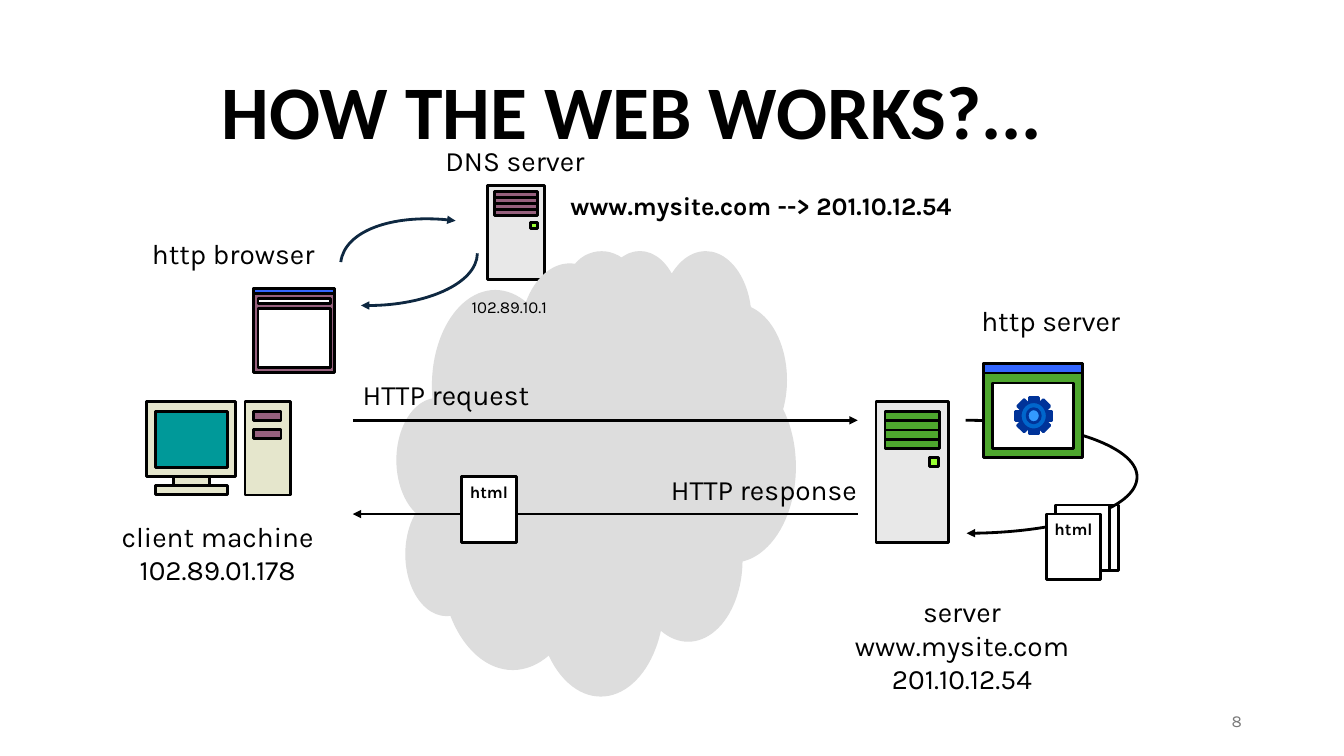
from dataclasses import dataclass
from lxml import etree
from pptx import Presentation
from pptx.dml.color import RGBColor
from pptx.enum.shapes import MSO_CONNECTOR, MSO_SHAPE
from pptx.enum.text import MSO_ANCHOR, MSO_AUTO_SIZE, PP_ALIGN
from pptx.oxml.ns import qn
from pptx.util import Pt

RECT, OVAL, CLOUD = MSO_SHAPE.RECTANGLE, MSO_SHAPE.OVAL, MSO_SHAPE.CLOUD_CALLOUT
STRAIGHT = MSO_CONNECTOR.STRAIGHT
LEFT, CENTER, RIGHT = PP_ALIGN.LEFT, PP_ALIGN.CENTER, PP_ALIGN.RIGHT
TOP, MIDDLE = MSO_ANCHOR.TOP, MSO_ANCHOR.MIDDLE
NO_FIT = MSO_AUTO_SIZE.NONE
COLORS = {
    "black": "000000", "white": "FFFFFF", "navy": "0E2841", "gray": "797979",
    "case": "E8E8E8", "plum": "96607D", "lime": "99FF33", "beige": "E5E6CC",
    "teal": "009999", "green": "4EA72E", "blue": "3366FF", "cloud": "DDDDDD",
    "gear": "003399", "hub": "0066CC", "axle": "3399FF",
}


@dataclass
class Box:
    x: float
    y: float
    w: float
    h: float
    fill: str
    line: str = "black"
    kind: MSO_SHAPE = RECT
    rotation: float = 0
    text: str = ""


@dataclass
class Label:
    x: float
    y: float
    w: float
    h: float
    lines: tuple[str, ...]
    align: PP_ALIGN = CENTER
    size: float = 20
    bold: bool = False
    color: str = "black"
    anchor: MSO_ANCHOR = TOP
    wrap: bool = True


@dataclass
class Arrow:
    x1: float
    y1: float
    x2: float
    y2: float


@dataclass
class Curve:
    points: tuple[tuple[float, float], ...]
    color: str = "black"


def rgb(name: str) -> RGBColor:
    return RGBColor.from_string(COLORS[name])


def style_run(r, size: float, bold: bool, color: str, font: str = "Karla") -> None:
    r.font.name, r.font.size, r.font.bold = font, Pt(size), bold
    r.font.color.rgb = rgb(color)


def style_arrow(shape, color: str) -> None:
    shape.line.color.rgb = rgb(color)
    shape.line.width = Pt(2)
    etree.SubElement(shape.line._get_or_add_ln(), qn("a:tailEnd"), type="triangle")


def draw_box(slide, box: Box) -> None:
    sp = slide.shapes.add_shape(box.kind, Pt(box.x), Pt(box.y), Pt(box.w), Pt(box.h))
    sp.shadow.inherit = False
    sp.rotation = box.rotation
    sp.fill.solid()
    sp.fill.fore_color.rgb = rgb(box.fill)
    sp.line.color.rgb = rgb(box.line)
    sp.line.width = Pt(2)
    if box.kind == CLOUD:
        sp.adjustments[0], sp.adjustments[1] = 0.007, -0.216
    if box.text:
        tf = sp.text_frame
        tf.word_wrap, tf.vertical_anchor = False, TOP
        p = tf.paragraphs[0]
        p.alignment = CENTER
        r = p.add_run()
        r.text = box.text
        style_run(r, 12, True, "black")


def draw_label(slide, label: Label) -> None:
    sp = slide.shapes.add_textbox(Pt(label.x), Pt(label.y), Pt(label.w), Pt(label.h))
    tf = sp.text_frame
    tf.word_wrap, tf.vertical_anchor = label.wrap, label.anchor
    for i, line in enumerate(label.lines):
        p = tf.add_paragraph() if i else tf.paragraphs[0]
        p.alignment = label.align
        r = p.add_run()
        r.text = line
        style_run(r, label.size, label.bold, label.color)


def draw_arrow(slide, arrow: Arrow) -> None:
    cxn = slide.shapes.add_connector(
        STRAIGHT, Pt(arrow.x1), Pt(arrow.y1), Pt(arrow.x2), Pt(arrow.y2))
    style_arrow(cxn, "black")
    etree.SubElement(cxn._element.spPr, qn("a:effectLst"))


def draw_curve(slide, curve: Curve) -> None:
    start, *rest = [(Pt(x), Pt(y)) for x, y in curve.points]
    builder = slide.shapes.build_freeform(*start)
    builder.add_line_segments(rest, close=False)
    sp = builder.convert_to_shape()
    sp.shadow.inherit = False
    sp.fill.background()
    style_arrow(sp, curve.color)
    segments = sp._element.xpath(".//a:path/a:lnTo")
    for i in range(0, len(segments), 3):
        bezier = etree.Element(qn("a:cubicBezTo"))
        segments[i].addprevious(bezier)
        for segment in segments[i:i + 3]:
            bezier.append(segment[0])
            segment.getparent().remove(segment)


def draw_title(slide, text: str) -> None:
    sp = slide.shapes.title
    sp.left, sp.top, sp.width, sp.height = Pt(151.2), Pt(38.9), Pt(648), Pt(77.8)
    tf = sp.text_frame
    tf.word_wrap, tf.auto_size, tf.vertical_anchor = True, NO_FIT, MIDDLE
    p = tf.paragraphs[0]
    p.alignment = LEFT
    r = p.add_run()
    r.text = text
    style_run(r, 54, True, "black", "Calibri")
    effects = etree.Element(qn("a:effectLst"))
    shadow = etree.SubElement(effects, qn("a:outerShdw"), blurRad=str(Pt(3)),
                              dist=str(Pt(3)), dir="5400000", algn="tl")
    tint = etree.SubElement(shadow, qn("a:srgbClr"), val=COLORS["black"])
    etree.SubElement(tint, qn("a:alpha"), val="43000")
    r.font._element.find(qn("a:solidFill")).addnext(effects)


def stack(x: float, y: float, w: float, h: float, pitch: float, count: int, fill: str) -> list[Box]:
    return [Box(x, y + i * pitch, w, h, fill) for i in range(count)]


def centered(cx: float, cy: float, w: float, h: float, fill: str, kind: MSO_SHAPE,
             rotation: float = 0) -> Box:
    return Box(cx - w / 2, cy - h / 2, w, h, fill, "gear", kind, rotation)


def page(x: float, y: float, text: str = "") -> Box:
    return Box(x, y, 38.9, 46.8, "white", text=text)


DNS = [Box(348.5, 132.5, 40.3, 67, "case"),
       *stack(353.5, 136.8, 30.2, 4.3, 4.3, 4, "plum"),
       Box(378.7, 159.1, 5, 4.3, "lime")]
CLIENT = [Box(104.4, 286.6, 64.1, 54, "beige"), Box(110.9, 293.8, 51.8, 40.3, "teal"),
          Box(123.8, 340.6, 25.9, 6.5, "beige"), Box(175, 286.6, 32.4, 67, "beige"),
          Box(110.9, 347, 51.8, 6.5, "beige"),
          *stack(181.4, 293.8, 19.4, 6.5, 13, 2, "plum")]
SERVER = [Box(625.7, 286.6, 51.8, 100.8, "case"),
          *stack(632.2, 293.8, 38.9, 6.7, 6.7, 4, "green"),
          Box(663.8, 326.9, 6.5, 6.5, "lime")]
BROWSER = [Box(181.4, 205.9, 57.6, 60.5, "plum"), Box(181.4, 205.9, 57.6, 3.6, "blue"),
           Box(184.3, 213.1, 51.8, 3.6, "white"), Box(184.3, 220.3, 51.8, 42.5, "white")]
WINDOW = [Box(702.7, 259.9, 70.6, 67, "green"), Box(702.7, 259.9, 70.6, 6.5, "blue"),
          Box(709.2, 273.6, 57.6, 46.8, "white")]
GEAR = [*(centered(738.4, 297, 6.5, 26, "gear", RECT, angle) for angle in (0, 90, 45, 135)),
        centered(738.4, 297, 19.4, 20.2, "hub", OVAL),
        centered(738.4, 297, 9.4, 10.1, "axle", OVAL)]

ITEMS = [
    Label(678.2, 500.4, 216, 28.8, ("8",), RIGHT, 12, color="gray", anchor=MIDDLE),
    Curve(((341, 181), (340.5, 203), (300.2, 219.6), (257.8, 218.2)), "navy"),
    *DNS, page(760.3, 360.7), *CLIENT, *SERVER, *BROWSER,
    Box(284.4, 179.3, 283, 316.1, "cloud", "cloud", CLOUD),
    Label(277.9, 98.6, 180, 35.3, ("DNS server",)),
    Label(580.3, 421.2, 213.8, 88.6, ("server", "www.mysite.com", "201.10.12.54")),
    Label(72, 367.2, 167, 61.9, ("client machine", "102.89.01.178")),
    Label(400.3, 132.5, 431.3, 32.4, ("www.mysite.com --> 201.10.12.54",), LEFT, 18, True),
    Curve(((243.4, 187.2), (246.2, 164.9), (283, 151.9), (325.4, 157.7)), "navy"),
    Arrow(252, 300.2, 612.7, 300.2),
    Label(252, 266.4, 231.8, 35.3, ("HTTP request",), LEFT),
    Label(670.3, 213.1, 160.6, 35.3, ("http server",)),
    Curve(((689.8, 300.2), (757.4, 300.2), (812.2, 318.2), (812.2, 340.6),
           (812.2, 362.9), (758.2, 380.9), (690.5, 380.9))),
    *WINDOW, *GEAR, page(753.8, 360.7), page(747.4, 367.2, "html"),
    Arrow(612.7, 367.2, 252, 367.2),
    Label(310.3, 334.1, 308.9, 35.3, ("HTTP response",), RIGHT),
    page(329.8, 340.6, "html"),
    Label(91.4, 165.6, 150.5, 35.3, ("http browser",)),
    Label(329.8, 208.1, 83.5, 24.5, ("102.89.10.1",), LEFT, 12, wrap=False),
]
DRAW = {Box: draw_box, Label: draw_label, Arrow: draw_arrow, Curve: draw_curve}


def main() -> None:
    prs = Presentation()
    prs.slide_width, prs.slide_height = Pt(960), Pt(540)
    slide = prs.slides.add_slide(prs.slide_layouts[5])
    draw_title(slide, "HOW THE WEB WORKS?...")
    for item in ITEMS:
        DRAW[type(item)](slide, item)
    prs.save("out.pptx")


if __name__ == "__main__":
    main()
